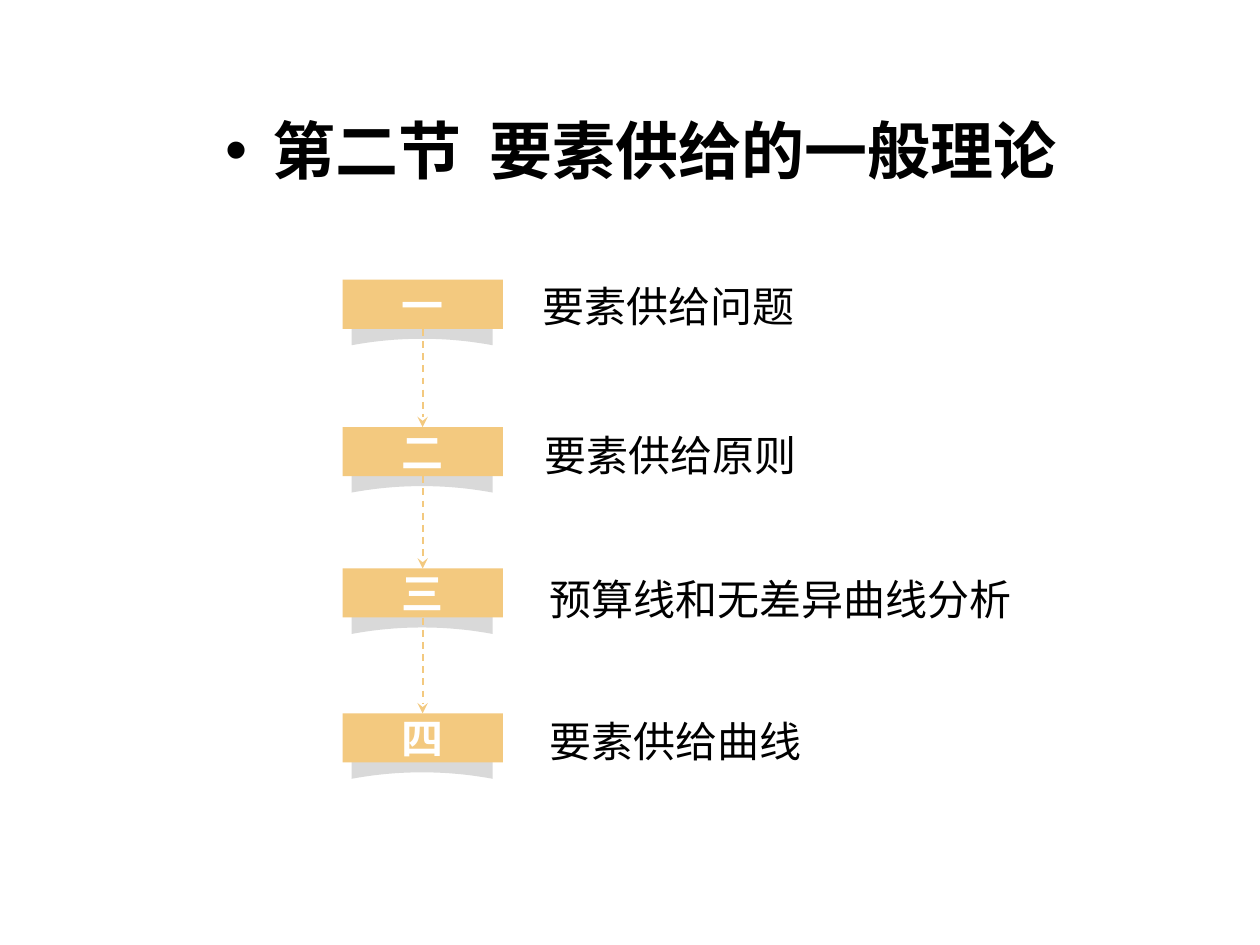
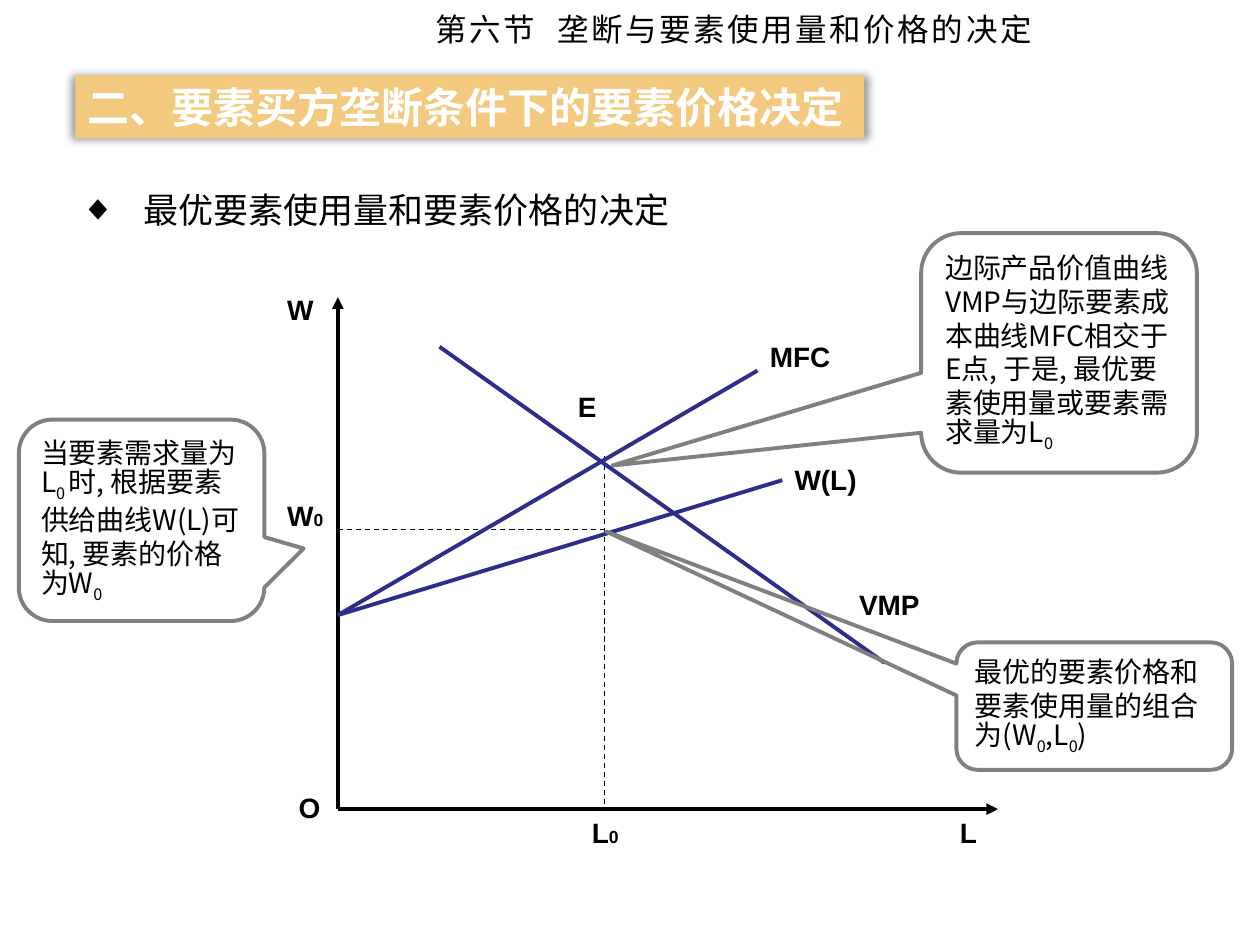
import lxml.etree
import pptx
import pptx.dml.color
import pptx.enum.dml
import pptx.enum.shapes
import pptx.enum.text
import pptx.oxml
import pptx.oxml.ns
import pptx.util

Cm = pptx.util.Cm
Pt = pptx.util.Pt
qn = pptx.oxml.ns.qn
colour = pptx.dml.color.RGBColor.from_string
SHAPE = pptx.enum.shapes.MSO_SHAPE
ALIGN = pptx.enum.text.PP_ALIGN
ANCHOR = pptx.enum.text.MSO_ANCHOR

CHINESE = "Noto Sans CJK SC"
LATIN = "Arial"
BLACK, WHITE, ORANGE = "000000", "FFFFFF", "F3C97F"
RIBBON_GREY, CALLOUT_GREY, CURVE_BLUE = "D9D9D9", "808080", "2D2D8A"
SPACED = {"spc": "150"}
SUBSCRIPT = {"baseline": "-25000"}
SMALL = {"sz": "1000"}


def write_text(shape, runs, size, ink=BLACK, bold=False, font=CHINESE, align=ALIGN.LEFT,
               anchor=ANCHOR.TOP, wrap=True, bullet=None, indent=0):
    """Fill the shape with one paragraph; each run is (text, run attributes)."""
    frame = shape.text_frame
    frame.word_wrap = wrap
    frame.vertical_anchor = anchor
    paragraph = frame.paragraphs[0]
    paragraph.alignment = align
    if font == CHINESE:
        paragraph.line_spacing = Pt(size * 1.2)
    if bullet:
        properties = paragraph._p.get_or_add_pPr()
        properties.set("marL", str(Cm(indent)))
        properties.set("indent", str(-Cm(indent)))
        lxml.etree.SubElement(properties, qn("a:buFont")).set("typeface", LATIN)
        lxml.etree.SubElement(properties, qn("a:buChar")).set("char", bullet)
    for text, attributes in runs:
        run = paragraph.add_run()
        run.text = text
        run.font.size = Pt(size)
        run.font.bold = bold
        run.font.color.rgb = colour(ink)
        run.font.name = font
        run_properties = run._r.get_or_add_rPr()
        lxml.etree.SubElement(run_properties, qn("a:ea")).set("typeface", font)
        for name, value in attributes.items():
            run_properties.set(name, value)


def draw_line(slide, start, end, ink, width, dashed=False, arrow=None):
    connector = slide.shapes.add_connector(
        pptx.enum.shapes.MSO_CONNECTOR.STRAIGHT,
        Cm(start[0]), Cm(start[1]), Cm(end[0]), Cm(end[1]))
    connector.line.color.rgb = colour(ink)
    connector.line.width = Pt(width)
    if dashed:
        connector.line.dash_style = pptx.enum.dml.MSO_LINE.DASH
    if arrow:
        line_properties = connector.line._get_or_add_ln()
        lxml.etree.SubElement(line_properties, qn("a:tailEnd")).set("type", arrow)
    lxml.etree.SubElement(connector._element.spPr, qn("a:effectLst"))


presentation = pptx.Presentation()
presentation.slide_width = Cm(25.4)
presentation.slide_height = Cm(19.05)
blank = presentation.slide_layouts[6]

# Slide 1: contents of the section
slide = presentation.slides.add_slide(blank)
title = slide.shapes.add_textbox(Cm(4.29), Cm(2.13), Cm(20), Cm(2))
write_text(title, [("第二节  要素供给的一般理论", {})], 36, bold=True, bullet="•", indent=0.95)

BOX_LEFT, BOX_WIDTH, BOX_HEIGHT = 6.91, 3.23, 0.99
RIBBON_LEFT, RIBBON_WIDTH = 7.09, 2.84
ARC_STEPS = 20
topics = [
    ("一", 5.64, "要素供给问题", 10.69, 5.54),
    ("二", 8.61, "要素供给原则", 10.72, 8.53),
    ("三", 11.46, "预算线和无差异曲线分析", 10.82, 11.43),
    ("四", 14.38, "要素供给曲线", 10.82, 14.3),
]
for number, top, topic, topic_left, topic_top in topics:
    middle = RIBBON_LEFT + RIBBON_WIDTH / 2
    outline = [(RIBBON_LEFT, top + 0.97), (middle, top + 0.84),
               (RIBBON_LEFT + RIBBON_WIDTH, top + 0.97)]
    for step in range(ARC_STEPS + 1):
        across = 1 - 2 * step / ARC_STEPS
        outline.append((middle + across * RIBBON_WIDTH / 2, top + 1.19 + 0.13 * across ** 2))
    points = [(Cm(x), Cm(y)) for x, y in outline]
    builder = slide.shapes.build_freeform(*points[0])
    builder.add_line_segments(points[1:], close=True)
    ribbon = builder.convert_to_shape()
    ribbon.shadow.inherit = False
    ribbon.fill.solid()
    ribbon.fill.fore_color.rgb = colour(RIBBON_GREY)
    ribbon.line.fill.background()

    box = slide.shapes.add_shape(SHAPE.RECTANGLE, Cm(BOX_LEFT), Cm(top),
                                 Cm(BOX_WIDTH), Cm(BOX_HEIGHT))
    box.shadow.inherit = False
    box.fill.solid()
    box.fill.fore_color.rgb = colour(ORANGE)
    box.line.fill.background()
    write_text(box, [(number, SPACED)], 24, WHITE, bold=True,
               align=ALIGN.CENTER, anchor=ANCHOR.MIDDLE)

    label = slide.shapes.add_textbox(Cm(topic_left), Cm(topic_top), Cm(10.2), Cm(1.27))
    write_text(label, [(topic, {})], 24)

for upper, lower in zip(topics, topics[1:]):
    draw_line(slide, (8.52, upper[1] + BOX_HEIGHT), (8.52, lower[1]), ORANGE, 1,
              dashed=True, arrow="stealth")

# Slide 2: price of a factor under monopsony
slide = presentation.slides.add_slide(blank)
subtitle = slide.shapes.add_textbox(Cm(1.37), Cm(3.68), Cm(21), Cm(1.57))
write_text(subtitle, [("最优要素使用量和要素价格的决定", {})], 20, bullet="◆", indent=1.27)

origin = (6.81, 16.31)
supply_start = (6.81, 12.4)
draw_line(slide, origin, (6.81, 5.99), BLACK, 2.25, arrow="triangle")
draw_line(slide, origin, (20.12, 16.31), BLACK, 2.25, arrow="triangle")
draw_line(slide, (6.81, 10.67), (12.19, 10.67), BLACK, 0.75, dashed=True)
draw_line(slide, (12.19, 9.19), (12.19, 16.33), BLACK, 0.75, dashed=True)
for start, end in [
    ((8.86, 6.99), (17.83, 13.36)),
    ((15.77, 9.68), supply_start),
    ((15.27, 7.47), supply_start),
]:
    draw_line(slide, start, end, CURVE_BLUE, 2.25)

for name, index, left, top in [
    ("W", "", 5.54, 5.77),
    ("O", "", 5.77, 15.82),
    ("L", "", 19.1, 16.31),
    ("W(L)", "", 15.77, 9.19),
    ("W", "0", 5.54, 9.93),
    ("E", "", 11.4, 7.72),
    ("MFC", "", 15.27, 6.73),
    ("VMP", "", 17.07, 11.71),
    ("L", "0", 11.68, 16.31),
]:
    label = slide.shapes.add_textbox(Cm(left), Cm(top), Cm(2), Cm(1))
    runs = [(name, {})]
    if index:
        runs.append((index, SMALL))
    write_text(label, runs, 16, bold=True, font=LATIN, wrap=False)

callouts = [
    ((18.57, 4.7, 5.56, 4.83), (-1.62, 0.47),
     [("边际产品价值曲线VMP与边际要素成本曲线MFC相交于E点, 于是, 最优要素使用量或要素需求量为L", {}),
      ("0", SUBSCRIPT)]),
    ((0.38, 8.46, 4.95, 4.06), (0.66, 0.14),
     [("当要素需求量为L", {}), ("0 ", SUBSCRIPT),
      ("时, 根据要素供给曲线W(L)可知, 要素的价格为W", {}), ("0", SUBSCRIPT)]),
    ((19.28, 12.95, 5.56, 2.57), (-1.77, -1.37),
     [("最优的要素价格和要素使用量的组合为(W", {}), ("0", SUBSCRIPT),
      (",L", {}), ("0", SUBSCRIPT), (")", {})]),
]
for bounds, tip, runs in callouts:
    callout = slide.shapes.add_shape(SHAPE.ROUNDED_RECTANGULAR_CALLOUT,
                                     *[Cm(length) for length in bounds])
    callout.adjustments[0], callout.adjustments[1] = tip
    callout.shadow.inherit = False
    callout.fill.background()
    callout.line.color.rgb = colour(CALLOUT_GREY)
    callout.line.width = Pt(2.25)
    write_text(callout, runs, 16)

banner = slide.shapes.add_shape(SHAPE.RECTANGLE, Cm(1.52), Cm(1.52), Cm(15.9), Cm(1.27))
banner.fill.solid()
banner.fill.fore_color.rgb = colour(ORANGE)
banner.line.fill.background()
banner.shadow.inherit = False
effects = banner._element.spPr.find(qn("a:effectLst"))
glow = lxml.etree.SubElement(effects, qn("a:outerShdw"), blurRad=str(Pt(5)), dist="0",
                             sx="101000", sy="101000", algn="ctr", rotWithShape="0")
glow_colour = lxml.etree.SubElement(glow, qn("a:srgbClr"), val=BLACK)
lxml.etree.SubElement(glow_colour, qn("a:alpha"), val="40000")
write_text(banner, [("二、要素买方垄断条件下的要素价格决定", {})], 24, WHITE, bold=True,
           anchor=ANCHOR.MIDDLE)

header = slide.shapes.add_textbox(Cm(8.53), Cm(0.08), Cm(14), Cm(0.99))
write_text(header, [("第六节  垄断与要素使用量和价格的决定", SPACED)], 18, anchor=ANCHOR.MIDDLE)

presentation.save("out.pptx")
